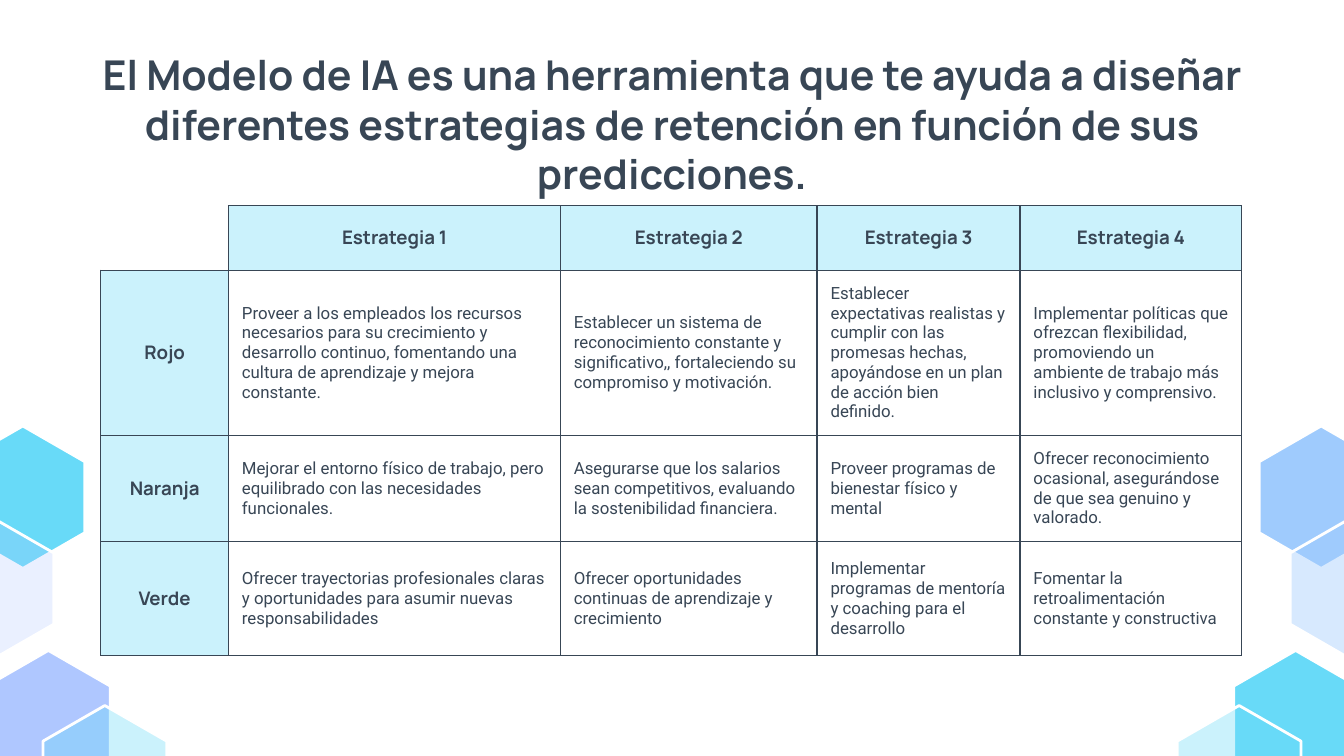
import pptx
import pptx.dml.color
import pptx.enum.text
import pptx.oxml
import pptx.oxml.ns
import pptx.util
from lxml import etree

Inches, Pt = pptx.util.Inches, pptx.util.Pt
RGBColor = pptx.dml.color.RGBColor
PP_ALIGN, ANCHOR = pptx.enum.text.PP_ALIGN, pptx.enum.text.MSO_ANCHOR
qn = pptx.oxml.ns.qn

INK = RGBColor(0x38, 0x46, 0x55)
CYAN = RGBColor(0x68, 0xDA, 0xF8)
LILAC = RGBColor(0xAF, 0xC7, 0xFF)
SKY = RGBColor(0x9F, 0xCB, 0xFD)
WHITE = RGBColor(0xFF, 0xFF, 0xFF)

SLIDE_W = 10
SLIDE_H = SLIDE_W * 9 / 16
TITLE = ("El Modelo de IA es una herramienta que te ayuda a diseñar diferentes "
         "estrategias de retención en función de sus predicciones.")
ROWS = [
    ["", "Estrategia 1", "Estrategia 2", "Estrategia 3", "Estrategia 4"],
    ["Rojo",
     "Proveer a los empleados los recursos necesarios para su crecimiento y desarrollo "
     "continuo, fomentando una cultura de aprendizaje y mejora constante.",
     "Establecer un sistema de reconocimiento constante y significativo,, fortaleciendo "
     "su compromiso y motivación.",
     "Establecer expectativas realistas y cumplir con las promesas hechas, apoyándose "
     "en un plan de acción bien definido.",
     "Implementar políticas que ofrezcan flexibilidad, promoviendo un ambiente de "
     "trabajo más inclusivo y comprensivo."],
    ["Naranja",
     "Mejorar el entorno físico de trabajo, pero equilibrado con las necesidades funcionales.",
     "Asegurarse que los salarios sean competitivos, evaluando la sostenibilidad financiera.",
     "Proveer programas de bienestar físico y mental",
     "Ofrecer reconocimiento ocasional, asegurándose de que sea genuino y valorado."],
    ["Verde",
     "Ofrecer trayectorias profesionales claras y oportunidades para asumir nuevas "
     "responsabilidades",
     "Ofrecer oportunidades continuas de aprendizaje y crecimiento",
     "Implementar programas de mentoría y coaching para el desarrollo",
     "Fomentar la retroalimentación constante y constructiva"],
]
COLUMN_WIDTHS = [0.95, 2.47, 1.91, 1.51, 1.65]
ROW_HEIGHTS = [0.48, 1.23, 0.79, 0.85]
TABLE_LEFT, TABLE_TOP = 0.75, 1.53
TINT = 34

HEX_W, HEX_H = 0.92, 1.06
# left edge on the left side, top, (colour, opacity %) on the left and on the right
HEXAGONS = [
    (-0.29, 3.17, (CYAN, 100), (SKY, 100)),
    (-0.10, 4.84, (LILAC, 100), (CYAN, 100)),
    (-0.52, 3.85, (LILAC, 25), (SKY, 41)),
    (0.32, 5.25, (CYAN, TINT), (CYAN, TINT)),
]

TITLE_FONT = {"name": "Manrope", "size": Pt(22), "bold": True}
HEADER_FONT = {"name": "Manrope", "size": Pt(10), "bold": True}
BODY_FONT = {"name": "Roboto", "size": Pt(9), "bold": False}


def fill_solid(target, properties, color, opacity=100):
    """Fill a shape or cell; properties is the XML element holding its fill."""
    target.fill.solid()
    target.fill.fore_color.rgb = color
    if opacity < 100:
        color_node = properties.find(qn("a:solidFill"))[0]
        etree.SubElement(color_node, qn("a:alpha")).set("val", str(opacity * 1000))


def write(paragraph, text, font, align):
    paragraph.alignment = align
    span = paragraph.add_run()
    span.text = text
    for name, value in font.items():
        setattr(span.font, name, value)
    span.font.color.rgb = INK


def add_hexagon(page, left, top, color, opacity):
    middle, right = left + HEX_W / 2, left + HEX_W
    upper, lower = top + HEX_H / 4, top + HEX_H * 3 / 4
    points = [(middle, top), (right, upper), (right, lower),
              (middle, top + HEX_H), (left, lower), (left, upper)]
    corners = [(Inches(x), Inches(y)) for x, y in points]
    builder = page.shapes.build_freeform(*corners[0])
    builder.add_line_segments(corners[1:], close=True)
    hexagon = builder.convert_to_shape()
    hexagon.shadow.inherit = False
    fill_solid(hexagon, hexagon.element.spPr, color, opacity)
    hexagon.line.color.rgb = WHITE
    hexagon.line.width = Pt(1.5)


def set_borders(properties, visible):
    """Draw the sides named in visible (of L, R, T, B) and clear the others."""
    for side in "LRTB":
        line = etree.SubElement(properties, qn("a:ln" + side), w=str(Pt(0.75)))
        if side in visible:
            fill = etree.SubElement(line, qn("a:solidFill"))
            etree.SubElement(fill, qn("a:srgbClr"), val=str(INK))
        else:
            etree.SubElement(line, qn("a:noFill"))


def format_cell(cell, text, is_header):
    properties = cell._tc.get_or_add_tcPr()
    set_borders(properties, "LRTB" if text else "RB")
    cell.vertical_anchor = ANCHOR.MIDDLE
    for side in ("left", "right", "top", "bottom"):
        setattr(cell, "margin_" + side, Inches(0.1 if text else 0))
    if text and is_header:
        fill_solid(cell, properties, CYAN, TINT)
        write(cell.text_frame.paragraphs[0], text, HEADER_FONT, PP_ALIGN.CENTER)
    else:
        cell.fill.background()
        if text:
            write(cell.text_frame.paragraphs[0], text, BODY_FONT, PP_ALIGN.LEFT)


def add_strategy_table(page):
    table = page.shapes.add_table(
        len(ROWS), len(COLUMN_WIDTHS), Inches(TABLE_LEFT), Inches(TABLE_TOP),
        Inches(sum(COLUMN_WIDTHS)), Inches(sum(ROW_HEIGHTS))).table
    table.first_row = table.horz_banding = False
    for column, width in zip(table.columns, COLUMN_WIDTHS):
        column.width = Inches(width)
    for row, height in zip(table.rows, ROW_HEIGHTS):
        row.height = Inches(height)
    for r, texts in enumerate(ROWS):
        for c, text in enumerate(texts):
            format_cell(table.cell(r, c), text, is_header=r == 0 or c == 0)


def add_title(page):
    box = page.shapes.add_textbox(Inches(-0.02), Inches(0.27), Inches(10.04), Inches(0.63))
    frame = box.text_frame
    frame.word_wrap = True
    for side in ("left", "right", "top", "bottom"):
        setattr(frame, "margin_" + side, Inches(0.1))
    write(frame.paragraphs[0], TITLE, TITLE_FONT, PP_ALIGN.CENTER)


def main():
    deck = pptx.Presentation()
    deck.slide_width, deck.slide_height = Inches(SLIDE_W), Inches(SLIDE_H)
    page = deck.slides.add_slide(deck.slide_layouts[6])
    for left, top, left_style, right_style in HEXAGONS:
        add_hexagon(page, left, top, *left_style)
        add_hexagon(page, SLIDE_W - HEX_W - left, top, *right_style)
    add_strategy_table(page)
    add_title(page)
    deck.save("out.pptx")


if __name__ == "__main__":
    main()
